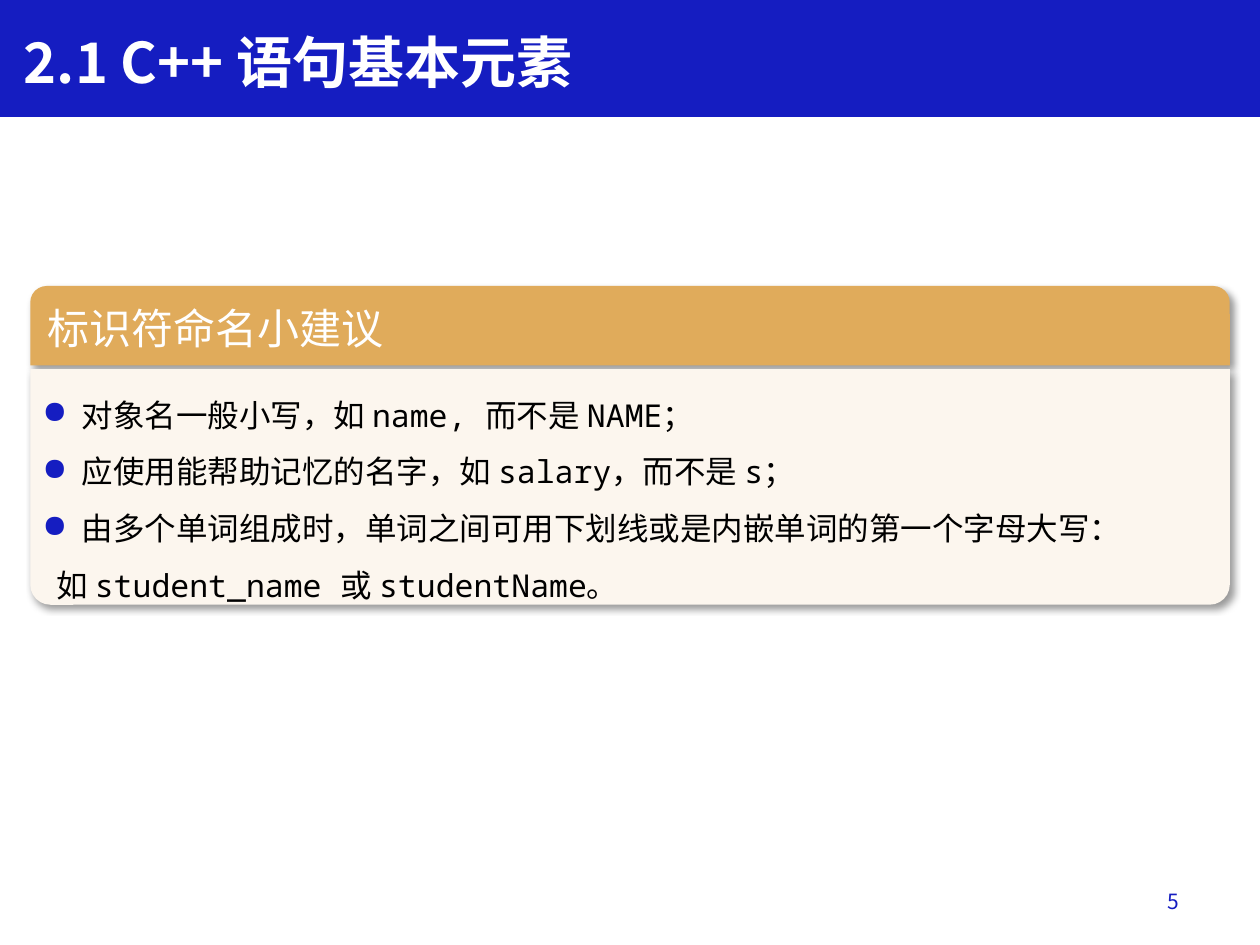
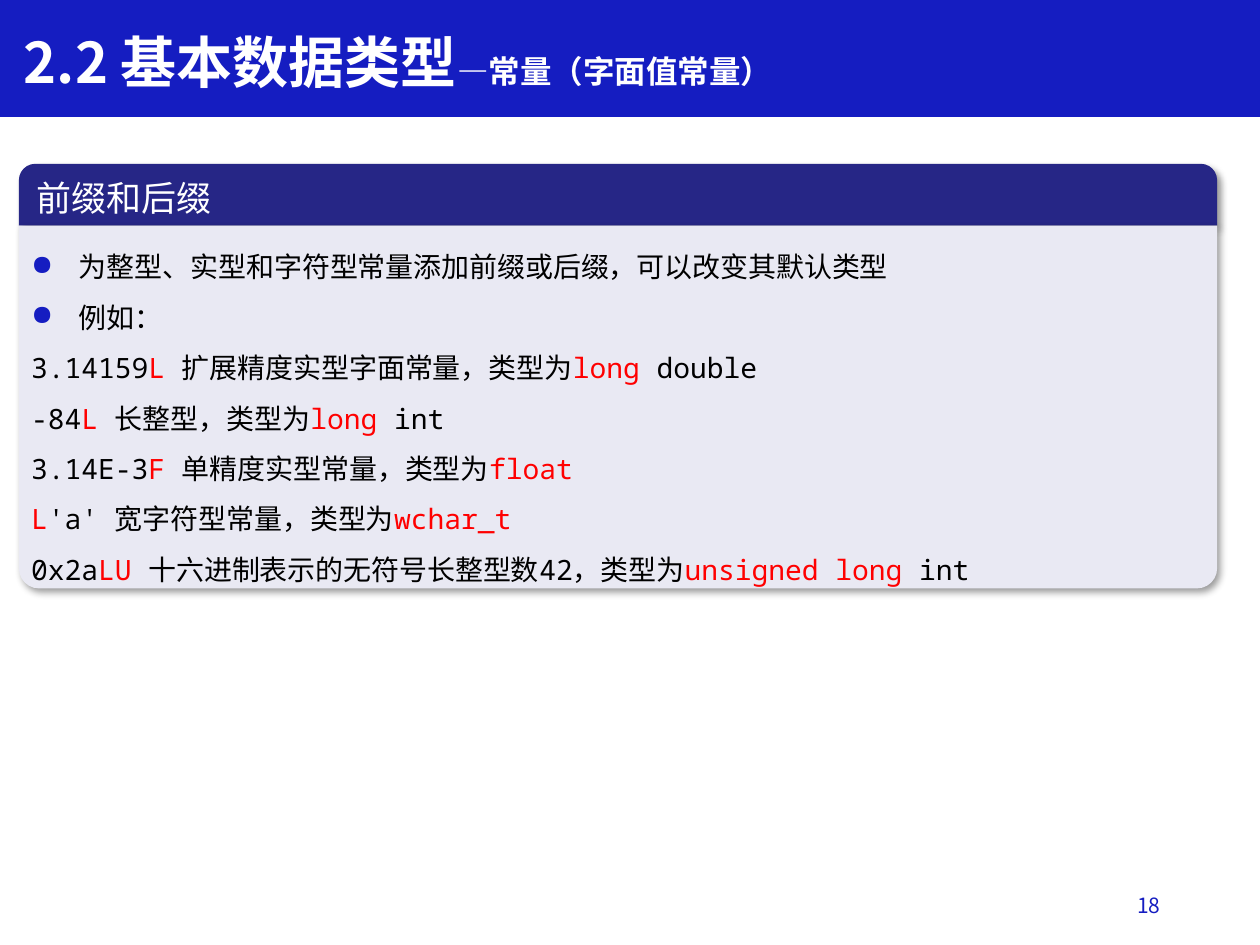
from dataclasses import dataclass

from lxml.etree import SubElement as Sub
from pptx import Presentation
from pptx.dml.color import RGBColor as RGB
from pptx.enum.shapes import MSO_SHAPE as Kind
from pptx.enum.text import MSO_ANCHOR as Anchor, PP_ALIGN as Align
from pptx.oxml.ns import qn
from pptx.util import Pt

UNIT = 9144  # 100 px to the inch


def px(n):
    return n * UNIT


@dataclass(frozen=True)
class Theme:
    sans: str = "Noto Sans CJK SC"
    mono: str = "Noto Sans Mono"
    blue: str = "151DC1"
    white: str = "FFFFFF"
    black: str = "000000"
    red: str = "FF0000"
    gold: str = "E0AB5B"
    cream: str = "FCF6EE"
    navy: str = "262686"
    mist: str = "E9E9F3"
    title: int = 32
    sub: int = 18
    foot: int = 12
    pitch: float = 1.8  # line height over type size


def write(para, text, size, color, font, bold=False, alt=None):
    """Add runs to a paragraph; parts between bars take the alt format."""
    base = {"size": size, "color": color}
    for i, part in enumerate(text.split("|")):
        if not part:
            continue
        form = {**base, **(alt or {})} if i % 2 else base
        run = para.add_run()
        run.text = part
        run.font.name = font
        run.font.size = Pt(form["size"])
        run.font.color.rgb = RGB.from_string(form["color"])
        run.font.bold = bold
        Sub(run.font._element, qn("a:ea"), typeface=Theme.sans)


def dot(para, hang, color):
    """Give a paragraph a hanging round bullet."""
    props = para._p.get_or_add_pPr()
    props.set("marL", str(px(hang)))
    props.set("indent", str(-px(hang)))
    Sub(Sub(props, qn("a:buClr")), qn("a:srgbClr"), val=color)
    Sub(props, qn("a:buChar"), char="●")


class Deck:
    def __init__(self, theme):
        self.look = theme
        self.show = Presentation()
        self.show.slide_width, self.show.slide_height = px(1000), px(750)
        self.slide = None

    def page(self, title, num, spot):
        """Start a slide with its band, title and number."""
        look = self.look
        self.slide = self.show.slides.add_slide(self.show.slide_layouts[6])
        band = self.shape(Kind.RECTANGLE, (0, 0, 1000, 92), look.blue)
        band.line.color.rgb = RGB.from_string(look.blue)
        band.line.width = Pt(1)
        self.label((9, 17, 671, 64), title, size=look.title,
                   color=look.white, bold=True, alt={"size": look.sub})
        self.label((*spot, 225, 40), num, anchor=Anchor.MIDDLE,
                   align=Align.RIGHT, size=look.foot, color=look.blue)

    def shape(self, kind, box, fill):
        item = self.slide.shapes.add_shape(kind, *map(px, box))
        item.shadow.inherit = False
        item.fill.solid()
        item.fill.fore_color.rgb = RGB.from_string(fill)
        item.line.fill.background()
        return item

    def label(self, box, text, anchor=Anchor.TOP, align=Align.LEFT, **form):
        frame = self.slide.shapes.add_textbox(*map(px, box)).text_frame
        frame.word_wrap = True
        frame.vertical_anchor = anchor
        para = frame.paragraphs[0]
        para.alignment = align
        write(para, text, font=self.look.sans, **form)

    def plate(self, box, fill, top, low):
        """Draw a shadowed plate with rounded top or bottom corners."""
        item = self.shape(Kind.ROUND_2_SAME_RECTANGLE, box, fill)
        side = min(box[2:])
        item.adjustments[0], item.adjustments[1] = top / side, low / side
        glow = item._element.spPr.find(qn("a:effectLst"))
        cast = Sub(glow, qn("a:outerShdw"), blurRad=str(Pt(4)),
                   dist=str(Pt(3)), dir="2700000", algn="tl",
                   rotWithShape="0")
        tint = Sub(cast, qn("a:srgbClr"), val=self.look.black)
        Sub(tint, qn("a:alpha"), val="40000")
        return item.text_frame

    def card(self, head, body, fills, title, lines, sizes, hang, inset=0):
        """Draw a heading plate over a body plate; '*' marks a bullet."""
        look = self.look
        frame = self.plate(head, fills[0], 13, 0)
        frame.vertical_anchor = Anchor.MIDDLE
        para = frame.paragraphs[0]
        para.alignment = Align.LEFT
        write(para, title, sizes[0], look.white, look.sans)

        frame = self.plate(body, fills[1], 0, 16)
        frame.word_wrap = True
        frame.vertical_anchor = Anchor.TOP
        frame.margin_left = frame.margin_right = px(5)
        frame.margin_top, frame.margin_bottom = px(6), 0
        for i, line in enumerate(lines):
            para = frame.add_paragraph() if i else frame.paragraphs[0]
            para.alignment = Align.LEFT
            para.line_spacing = Pt(sizes[1] * look.pitch)
            if line.startswith("*"):
                dot(para, hang, look.blue)
            elif inset:
                para._p.get_or_add_pPr().set("marL", str(px(inset)))
            write(para, line.lstrip("*"), sizes[1], look.black, look.mono,
                  alt={"color": look.red})


def main():
    look = Theme()
    deck = Deck(look)

    # Naming advice
    deck.page("2.1 C++ 语句基本元素", "5", (721, 695))
    deck.card((24, 227, 952, 63), (24, 293, 952, 187),
              (look.gold, look.cream), "标识符命名小建议", [
                  "*对象名一般小写，如 name, 而不是 NAME；",
                  "*应使用能帮助记忆的名字，如 salary，而不是 s；",
                  "*由多个单词组成时，单词之间可用下划线或是内嵌单词的第一个字母大写：",
                  "如 student_name 或 studentName。",
              ], sizes=(24, 18), hang=31, inset=11)

    # Prefixes and suffixes
    deck.page("2.2 基本数据类型|—常量（字面值常量）", "18", (706, 698))
    deck.card((15, 130, 951, 49), (15, 179, 951, 288),
              (look.navy, look.mist), "前缀和后缀", [
                  "*为整型、实型和字符型常量添加前缀或后缀，可以改变其默认类型",
                  "*例如：",
                  "3.14159|L |扩展精度实型字面常量，类型为|long| double",
                  "-84|L |长整型，类型为|long| int",
                  "3.14E-3|F |单精度实型常量，类型为|float",
                  "|L|'a' 宽字符型常量，类型为|wchar_t",
                  "0x2a|LU |十六进制表示的无符号长整型数42，类型为|unsigned long |int",
              ], sizes=(20, 16), hang=38)

    deck.show.save("out.pptx")


if __name__ == "__main__":
    main()
